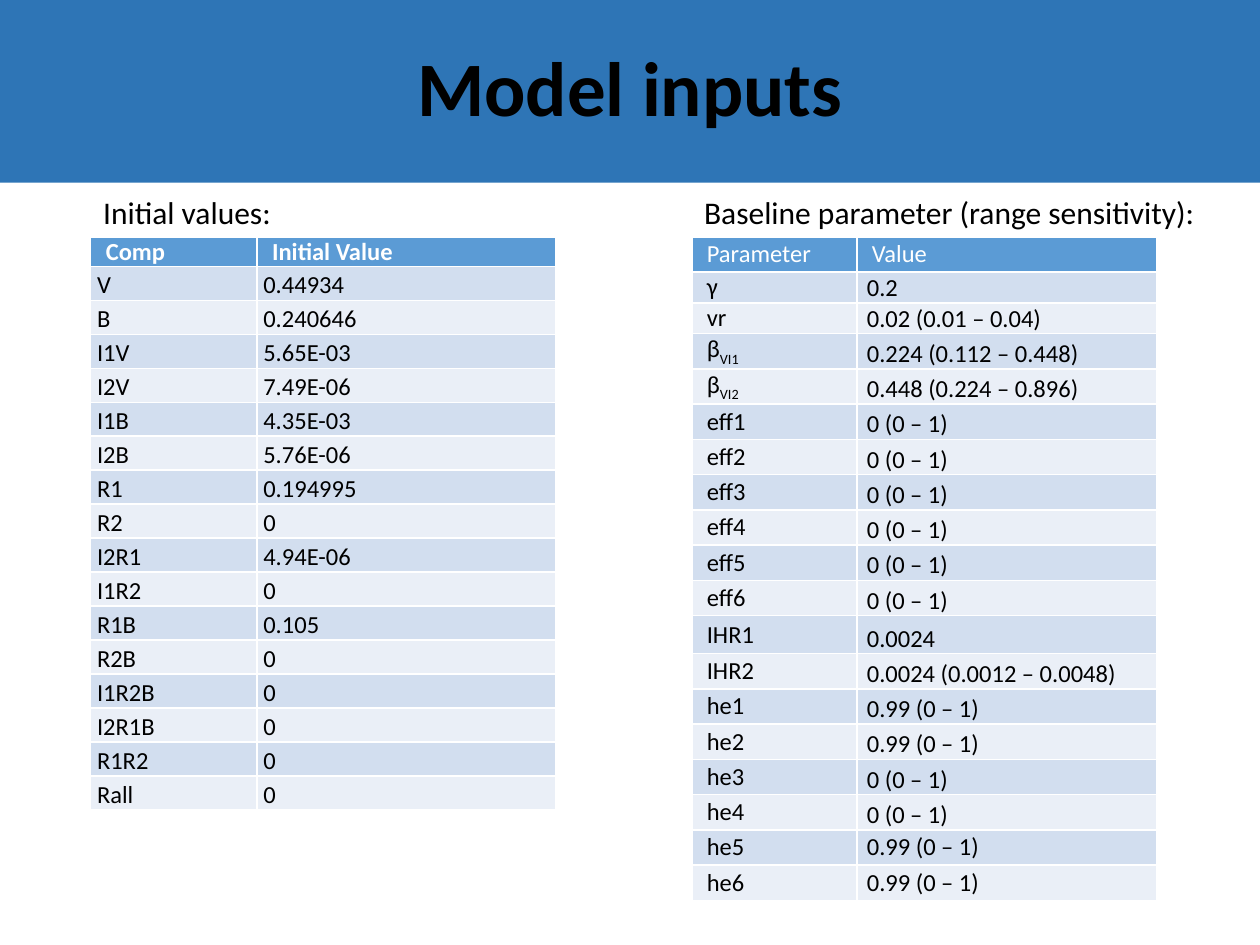
from dataclasses import dataclass

from lxml import etree
from pptx import Presentation
from pptx.dml.color import RGBColor
from pptx.enum import shapes, text
from pptx.oxml import ns
from pptx.util import Inches, Pt


@dataclass(frozen=True)
class Theme:
    font: str = "Calibri"
    banner: str = "2E75B6"
    header: str = "5B9BD5"
    bands: tuple = ("EAEFF7", "D2DEEF")
    white: str = "FFFFFF"
    black: str = "000000"
    title_size: int = 44
    label_size: int = 18
    table_size: int = 14


theme = Theme()
MIDDLE, BOTTOM = text.MSO_ANCHOR.MIDDLE, text.MSO_ANCHOR.BOTTOM


def set_font(p, size, color, bold=False):
    p.font.name = theme.font
    p.font.size = Pt(size)
    p.font.bold = bold
    p.font.color.rgb = RGBColor.from_string(color)


def set_borders(cell):
    tcPr = cell._tc.get_or_add_tcPr()
    for side in ("a:lnL", "a:lnR", "a:lnT", "a:lnB"):
        ln = etree.SubElement(tcPr, ns.qn(side), w=str(Pt(1)))
        fill = etree.SubElement(ln, ns.qn("a:solidFill"))
        etree.SubElement(fill, ns.qn("a:srgbClr"), val=theme.white)


prs = Presentation()
prs.slide_width, prs.slide_height = Inches(10), Inches(7.5)
s = prs.slides.add_slide(prs.slide_layouts[6])

sp = s.shapes.add_shape(shapes.MSO_SHAPE.RECTANGLE, 0, 0, Inches(10), Inches(1.45))
sp.shadow.inherit = False
sp.fill.solid()
sp.fill.fore_color.rgb = RGBColor.from_string(theme.banner)
sp.line.fill.background()
sp.text_frame.vertical_anchor = MIDDLE
p = sp.text_frame.paragraphs[0]
p.text = "Model inputs"
p.alignment = text.PP_ALIGN.CENTER
p.line_spacing = 0.9
set_font(p, theme.title_size, theme.black, True)

initial_values = [
    ("Comp", "Initial Value"),
    ("V", "0.44934"), ("B", "0.240646"),
    ("I1V", "5.65E-03"), ("I2V", "7.49E-06"),
    ("I1B", "4.35E-03"), ("I2B", "5.76E-06"),
    ("R1", "0.194995"), ("R2", "0"),
    ("I2R1", "4.94E-06"), ("I1R2", "0"),
    ("R1B", "0.105"), ("R2B", "0"),
    ("I1R2B", "0"), ("I2R1B", "0"),
    ("R1R2", "0"), ("Rall", "0"),
]
parameters = [
    ("Parameter", "Value"),
    ("γ", "0.2"), ("vr", "0.02 (0.01 – 0.04)"),
    ("β_VI1", "0.224 (0.112 – 0.448)"), ("β_VI2", "0.448 (0.224 – 0.896)"),
    *[(f"eff{n}", "0 (0 – 1)") for n in range(1, 7)],
    ("IHR1", "0.0024"), ("IHR2", "0.0024 (0.0012 – 0.0048)"),
    ("he1", "0.99 (0 – 1)"), ("he2", "0.99 (0 – 1)"),
    ("he3", "0 (0 – 1)"), ("he4", "0 (0 – 1)"),
    ("he5", "0.99 (0 – 1)"), ("he6", "0.99 (0 – 1)"),
]

header_style = (MIDDLE, 0.12, 0, 0)
initial_style = (BOTTOM, 0.05, 0, 0.05)
name_style = (MIDDLE, 0.12, 0, 0)
value_style = (BOTTOM, 0.08, 0.01, 0.01)
centred_value_style = (MIDDLE, 0.08, 0, 0)

panels = [
    ("Initial values:", 0.72, 1.55, False, initial_values, (1.32, 2.37),
     [0.23] + [0.27] * 16, True,
     [(initial_style, initial_style)] * 16),
    ("Baseline parameter (range sensitivity):", 5.49, 4.36, True, parameters, (1.31, 2.38),
     [0.28] + [0.24] * 2 + [0.28] * 8 + [0.3] + [0.28] * 7, False,
     [(name_style, value_style)] * 16 + [(name_style, centred_value_style)] * 2),
]

for label, left, label_width, wrap, rows, widths, heights, bold_header, body_styles in panels:
    tb = s.shapes.add_textbox(Inches(left), Inches(1.48), Inches(label_width), Inches(0.4))
    tb.text_frame.word_wrap = wrap
    p = tb.text_frame.paragraphs[0]
    p.text = label
    set_font(p, theme.label_size, theme.black)

    table = s.shapes.add_table(len(rows), 2, Inches(left), Inches(1.88),
                               Inches(sum(widths)), Inches(sum(heights))).table
    for column, width in zip(table.columns, widths):
        column.width = Inches(width)
    styles = [(header_style, header_style)] + body_styles
    for i, (values, height) in enumerate(zip(rows, heights)):
        table.rows[i].height = Inches(height)
        is_header = i == 0
        for j, value in enumerate(values):
            cell = table.cell(i, j)
            anchor, inset_left, inset_top, inset_right = styles[i][j]
            cell.vertical_anchor = anchor
            cell.margin_left = Inches(inset_left)
            cell.margin_top = Inches(inset_top)
            cell.margin_right = Inches(inset_right)
            cell.margin_bottom = 0
            set_borders(cell)
            cell.fill.solid()
            cell.fill.fore_color.rgb = RGBColor.from_string(
                theme.header if is_header else theme.bands[i % 2])
            p = cell.text_frame.paragraphs[0]
            base, _, subscript = value.partition("_")
            p.add_run().text = base
            if subscript:
                r = p.add_run()
                r.text = subscript
                r._r.get_or_add_rPr().set("baseline", "-25000")
            set_font(p, theme.table_size, theme.white if is_header else theme.black,
                     is_header and bold_header)

prs.save("out.pptx")
